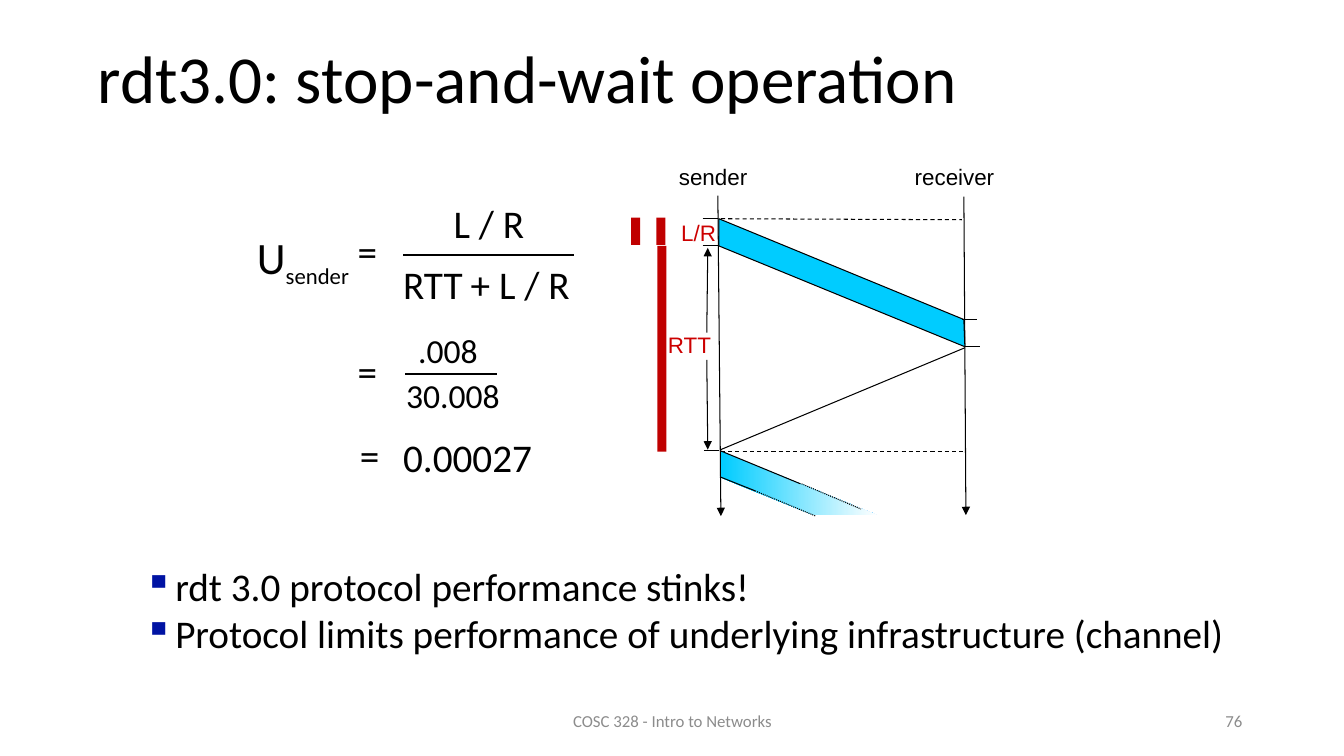
from dataclasses import dataclass

from lxml import etree
from pptx import Presentation
from pptx.dml.color import RGBColor
from pptx.enum.dml import MSO_LINE
from pptx.enum.shapes import MSO_CONNECTOR, MSO_SHAPE
from pptx.enum.text import MSO_ANCHOR, MSO_AUTO_SIZE, PP_ALIGN
from pptx.oxml.ns import qn
from pptx.util import Pt

PX = 9144  # EMU, 100 px to the inch
LEFT, CENTER, RIGHT = PP_ALIGN.LEFT, PP_ALIGN.CENTER, PP_ALIGN.RIGHT
TOP, MIDDLE = MSO_ANCHOR.TOP, MSO_ANCHOR.MIDDLE
FIT, FIXED = MSO_AUTO_SIZE.SHAPE_TO_FIT_TEXT, MSO_AUTO_SIZE.NONE
STRAIGHT, RECT = MSO_CONNECTOR.STRAIGHT, MSO_SHAPE.RECTANGLE
DASH, DOT = MSO_LINE.DASH, MSO_LINE.ROUND_DOT


@dataclass(frozen=True)
class Theme:
    ink: str = "000000"
    paper: str = "FFFFFF"
    packet: str = "00CCFF"
    bar: str = "C00000"
    label: str = "CC0000"
    bullet: str = "0013A3"
    faint: str = "8C8C8C"
    body: str = "Calibri"
    chart: str = "Arial"
    title: int = 48
    symbol: int = 32
    main: int = 28
    ratio: int = 24
    tag: int = 16
    foot: int = 12
    thin: float = 0.75


@dataclass(frozen=True)
class Box:
    x: int
    y: int
    w: int
    h: int

    def emu(self) -> tuple:
        return tuple(v * PX for v in (self.x, self.y, self.w, self.h))


@dataclass(frozen=True)
class Line:
    x1: int
    y1: int
    x2: int
    y2: int
    dash: object = None
    arrow: bool = False
    width: float = Theme.thin


@dataclass(frozen=True)
class Term:
    text: str
    box: Box
    size: int = Theme.main


@dataclass(frozen=True)
class Tag:
    text: str
    box: Box
    color: str = Theme.ink
    fill: str = ""


T = Theme()

TERMS = [
    Term("=", Box(345, 221, 40, 57)),
    Term("L / R", Box(440, 193, 91, 57)),
    Term("RTT", Box(390, 253, 80, 57)),
    Term("+ L / R", Box(457, 253, 120, 57)),
    Term("=", Box(345, 340, 40, 57)),
    Term(".008", Box(405, 322, 80, 50), T.ratio),
    Term("30.008", Box(393, 367, 114, 50), T.ratio),
    Term("=", Box(347, 423, 40, 57)),
    Term("0.00027", Box(390, 425, 150, 57)),
]
FRACTIONS = [
    Line(400, 253, 569, 253, width=1.75),
    Line(402, 371, 493, 371, width=1.5),
]
AXES = [
    Line(712, 194, 715, 512, arrow=True),
    Line(956, 195, 958, 511, arrow=True),
]
LEVELS = [
    Line(715, 217, 954, 218, DASH),
    Line(715, 448, 955, 448, DASH),
    Line(715, 446, 957, 345),
]
TICKS = [Line(x, y, x + 15, y) for x, y in
         ((697, 217), (697, 244), (698, 447), (954, 317), (957, 344))]
EDGES = [
    Line(714, 447, 794, 480),
    Line(795, 480, 854, 505, DOT),
    Line(714, 473, 749, 487),
    Line(749, 487, 809, 512, DOT),
]
SPANS = [
    Line(701, 357, 702, 446, arrow=True),
    Line(701, 330, 702, 246, arrow=True),
]
FIRST = [(713, 217), (956, 317), (957, 344), (713, 244)]
SECOND = [(715, 448), (870, 511), (807, 511), (715, 474)]
BARS = [Box(652, 244, 9, 204), Box(651, 216, 9, 27), Box(626, 216, 9, 27)]
HEADS = [
    Tag("sender", Box(654, 157, 97, 38), fill=T.paper),
    Tag("receiver", Box(893, 157, 103, 38), fill=T.paper),
]
TIMES = [
    Tag("RTT", Box(622, 324, 93, 37), T.label),
    Tag("L/R", Box(627, 212, 93, 37), T.label),
]
POINTS = [
    "rdt 3.0 protocol performance stinks!",
    "Protocol limits performance of underlying infrastructure (channel)",
]

deck = Presentation()
deck.slide_width, deck.slide_height = 1333 * PX, 750 * PX
slide = deck.slides.add_slide(deck.slide_layouts[6])
shapes = slide.shapes


def tint(code: str) -> RGBColor:
    return RGBColor.from_string(code)


def mark(para) -> None:
    """Give a paragraph a hanging square bullet."""
    props = para._p.get_or_add_pPr()
    props.set("marL", str(31 * PX))
    props.set("indent", str(-31 * PX))
    color = etree.SubElement(props, qn("a:buClr"))
    etree.SubElement(color, qn("a:srgbClr"), val=T.bullet)
    etree.SubElement(props, qn("a:buChar"), char="▪")


def write(text: str, box: Box, *, size: int = T.main, font: str = T.body,
          color: str = T.ink, align=LEFT, anchor=TOP, wrap: bool = True,
          fit=FIXED, fill: str = "", bullets: bool = False,
          spacing: float = 1.0):
    """Add a text box, one paragraph for each line of text."""
    shape = shapes.add_textbox(*box.emu())
    if fill:
        shape.fill.solid()
        shape.fill.fore_color.rgb = tint(fill)
    frame = shape.text_frame
    frame.text = text
    frame.word_wrap, frame.auto_size = wrap, fit
    frame.vertical_anchor = anchor
    for para in frame.paragraphs:
        para.alignment, para.line_spacing = align, spacing
        if bullets:
            mark(para)
        for run in para.runs:
            style(run, size, font, color)
    return shape


def style(run, size: int, font: str, color: str) -> None:
    run.font.size, run.font.name = Pt(size), font
    run.font.color.rgb = tint(color)


def rule(line: Line) -> None:
    ends = (v * PX for v in (line.x1, line.y1, line.x2, line.y2))
    link = shapes.add_connector(STRAIGHT, *ends)
    link.line.color.rgb, link.line.width = tint(T.ink), Pt(line.width)
    if line.dash is not None:
        link.line.dash_style = line.dash
    if line.arrow:
        etree.SubElement(link.line._get_or_add_ln(), qn("a:tailEnd"),
                         type="triangle")
    etree.SubElement(link._element.spPr, qn("a:effectLst"))


def band(points: list):
    pen = shapes.build_freeform(*points[0], scale=PX)
    pen.add_line_segments(points[1:], close=True)
    shape = pen.convert_to_shape()
    shape.shadow.inherit = False
    return shape


def bar(box: Box) -> None:
    shape = shapes.add_shape(RECT, *box.emu())
    shape.shadow.inherit = False
    shape.fill.solid()
    shape.fill.fore_color.rgb = tint(T.bar)
    shape.line.fill.background()


def label(tags: list) -> None:
    for tag in tags:
        write(tag.text, tag.box, size=T.tag, font=T.chart, color=tag.color,
              align=RIGHT, fill=tag.fill)


def chart() -> None:
    """Draw the timing of the packets."""
    label(HEADS)
    for line in AXES + LEVELS:
        rule(line)
    packet = band(FIRST)
    packet.fill.solid()
    packet.fill.fore_color.rgb = tint(T.packet)
    packet.line.color.rgb, packet.line.width = tint(T.ink), Pt(T.thin)
    fade = band(SECOND)
    fade.line.fill.background()
    fade.fill.gradient()
    fade.fill.gradient_angle = 0
    for stop, code, place in zip(fade.fill.gradient_stops,
                                 (T.packet, T.paper), (0, 1)):
        stop.color.rgb, stop.position = tint(code), place
    for line in TICKS + EDGES + SPANS:
        rule(line)
    for box in BARS:
        bar(box)
    label(TIMES)


def sums() -> None:
    """Write the utilization formula."""
    usage = write("U", Box(245, 223, 122, 64), size=T.symbol, wrap=False,
                  fit=FIT)
    sub = usage.text_frame.paragraphs[0].add_run()
    sub.text = "sender"
    style(sub, T.main, T.body, T.ink)
    sub._r.get_or_add_rPr().set("baseline", "-25000")
    for term in TERMS:
        write(term.text, term.box, size=term.size, wrap=False, fit=FIT)
    for line in FRACTIONS:
        rule(line)


def main() -> None:
    write("rdt3.0: stop-and-wait operation", Box(87, 32, 1214, 98),
          size=T.title, anchor=MIDDLE, spacing=0.9)
    chart()
    sums()
    write("\n".join(POINTS), Box(133, 553, 1115, 135), bullets=True)
    for text, box, align in (
            ("COSC 328 - Intro to Networks", Box(442, 695, 450, 40), CENTER),
            ("76", Box(942, 695, 300, 40), RIGHT)):
        write(text, box, size=T.foot, color=T.faint, align=align,
              anchor=MIDDLE)
    deck.save("out.pptx")


if __name__ == "__main__":
    main()
